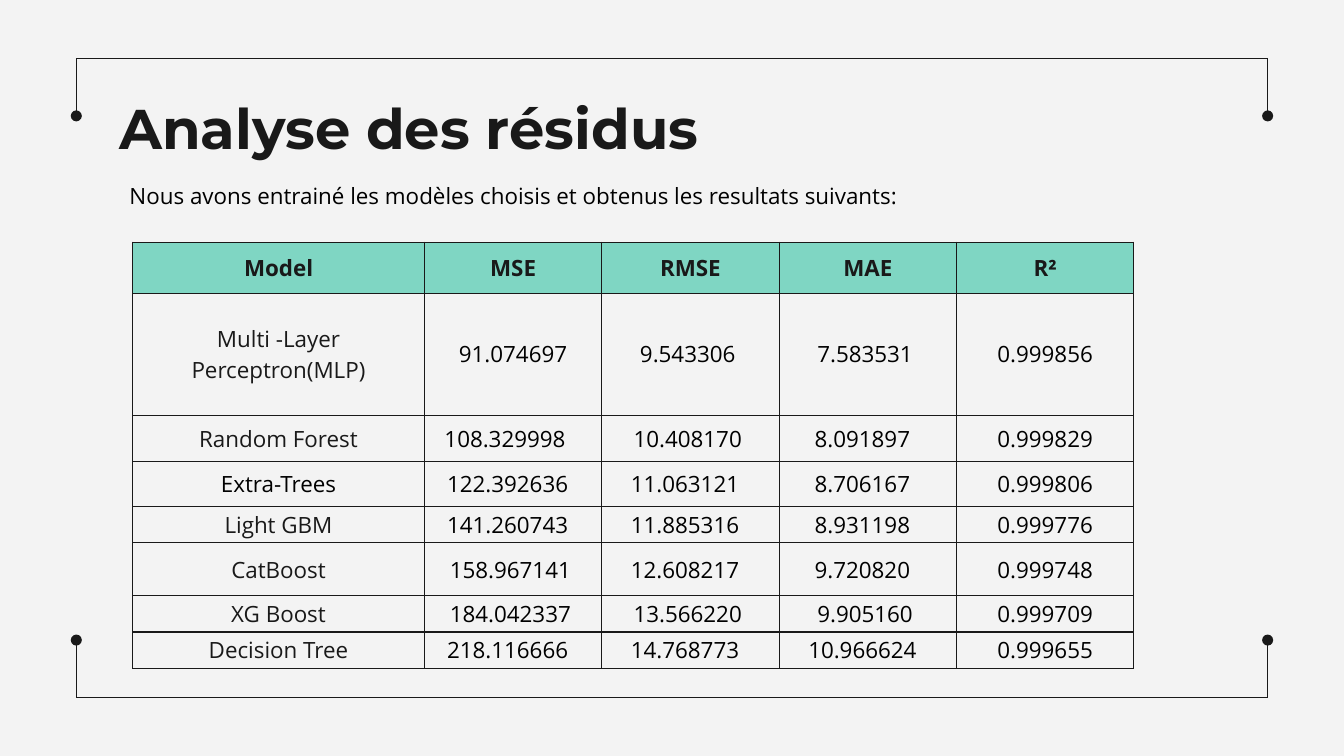
"""Builds a framed slide with a table of model scores."""
from dataclasses import dataclass

from lxml.etree import SubElement as Sub
from pptx import Presentation
from pptx.dml.color import RGBColor as Rgb
from pptx.enum.shapes import MSO_CONNECTOR as Link
from pptx.enum.text import MSO_ANCHOR as Anchor, PP_ALIGN as Align
from pptx.oxml.ns import qn
from pptx.util import Inches, Pt


@dataclass(frozen=True)
class Theme:
    paper: str = "F3F3F3"
    ink: str = "191919"
    black: str = "000000"
    mint: str = "7FD6C3"
    head: str = "Montserrat"
    body: str = "Open Sans"
    big: int = 30
    small: int = 12
    rule: float = 0.75
    space: float = 0.04


def write(frame, text, font, size, color, bold=False, align=Align.LEFT, after=0):
    par = frame.paragraphs[0]
    par.alignment, par.space_after = align, Pt(after)
    run = par.add_run()
    run.text = text
    run.font.name, run.font.size, run.font.bold = font, Pt(size), bold
    run.font.color.rgb = Rgb.from_string(color)


class Page:
    def __init__(self, deck, theme):
        self.deck, self.theme = deck, theme
        self.slide = deck.slides.add_slide(deck.slide_layouts[6])
        fill = self.slide.background.fill
        fill.solid()
        fill.fore_color.rgb = Rgb.from_string(theme.paper)

    def wide(self, share):
        return round(self.deck.slide_width * share / 100)

    def high(self, share):
        return round(self.deck.slide_height * share / 100)

    def line(self, x1, y1, x2, y2, dot=False):
        link = self.slide.shapes.add_connector(
            Link.STRAIGHT, self.wide(x1), self.high(y1), self.wide(x2), self.high(y2))
        link.line.width = Pt(self.theme.rule)
        link.line.color.rgb = Rgb.from_string(self.theme.ink)
        if dot:
            Sub(link.line._get_or_add_ln(), qn("a:tailEnd"), type="oval")
        Sub(link._element.spPr, qn("a:effectLst"))

    def text(self, x, y, w, h, words, pad=0.05, **form):
        box = self.slide.shapes.add_textbox(
            self.wide(x), self.high(y), self.wide(w), self.high(h))
        frame = box.text_frame
        frame.word_wrap = True
        frame.margin_top = frame.margin_bottom = Inches(pad)
        write(frame, words, **form)

    def edge(self, cell):
        props = cell._tc.get_or_add_tcPr()
        for side in ("lnL", "lnR", "lnT", "lnB"):
            line = Sub(props, qn(f"a:{side}"), w=str(Pt(self.theme.rule)))
            Sub(Sub(line, qn("a:solidFill")), qn("a:srgbClr"), val=self.theme.ink)

    def cell(self, cell, words, pad=(0, 0, 0), fill=None, **form):
        self.edge(cell)
        cell.vertical_anchor = Anchor.MIDDLE
        side, end, top = map(Inches, pad)
        cell.margin_left, cell.margin_right = side, end
        cell.margin_top = cell.margin_bottom = top
        if fill:
            cell.fill.solid()
            cell.fill.fore_color.rgb = Rgb.from_string(fill)
        else:
            cell.fill.background()
        write(cell.text_frame, words, self.theme.body, self.theme.small,
              align=Align.CENTER, **form)

    def table(self, x, y, cols, rows, heads, data):
        look = self.theme
        grid = self.slide.shapes.add_table(
            len(rows), len(cols), self.wide(x), self.high(y),
            self.wide(sum(cols)), self.high(sum(rows))).table
        for col, size in zip(grid.columns, cols):
            col.width = self.wide(size)
        for row, size in zip(grid.rows, rows):
            row.height = self.high(size)
        for c, head in enumerate(heads):
            self.cell(grid.cell(0, c), head, pad=(0.1, 0.1, 0.07),
                      fill=look.mint, color=look.ink, bold=True)
        for r, (name, scores, shifts) in enumerate(data, 1):
            tint = look.black if name == "Extra-Trees" else look.ink
            self.cell(grid.cell(r, 0), name, color=tint)
            for c, (score, shift) in enumerate(zip(scores.split(), shifts), 1):
                self.cell(grid.cell(r, c), score,
                          pad=(0, shift * look.space, 0), color=look.black)


HEADS = ("Model", "MSE", "RMSE", "MAE", "R²")
DATA = (
    ("Multi -Layer Perceptron(MLP)", "91.074697 9.543306 7.583531 0.999856", (0, 1, 1, 0)),
    ("Random Forest", "108.329998 10.408170 8.091897 0.999829", (3, 1, 2, 0)),
    ("Extra-Trees", "122.392636 11.063121 8.706167 0.999806", (2, 2, 2, 0)),
    ("Light GBM", "141.260743 11.885316 8.931198 0.999776", (2, 2, 2, 0)),
    ("CatBoost", "158.967141 12.608217 9.720820 0.999748", (1, 2, 2, 0)),
    ("XG Boost", "184.042337 13.566220 9.905160 0.999709", (1, 1, 1, 0)),
    ("Decision Tree", "218.116666 14.768773 10.966624 0.999655", (2, 2, 2, 0)),
)


def main():
    deck = Presentation()
    deck.slide_width = Inches(10)
    deck.slide_height = deck.slide_width * 9 // 16
    look = Theme()
    page = Page(deck, look)
    left, right = 5.68, 94.32
    for rim, tip in ((7.75, 15.33), (92.25, 84.67)):
        page.line(left, rim, right, rim)
        for x in (left, right):
            page.line(x, rim, x, tip, dot=True)
    page.text(7.9, 10.55, 84.3, 11.2, "Analyse des résidus", pad=0.1,
              font=look.head, size=look.big, color=look.ink, bold=True)
    page.table(9.88, 32.03, [21.7] + [13.2] * 4,
               [6.75, 16.15, 6.15, 5.95, 4.8, 7, 4.8, 4.8], HEADS, DATA)
    page.text(8.65, 23.2, 83.5, 5.4,
              "Nous avons entrainé les modèles choisis et obtenus les resultats suivants:",
              font=look.body, size=look.small, color=look.black, after=6)
    deck.save("out.pptx")


if __name__ == "__main__":
    main()
